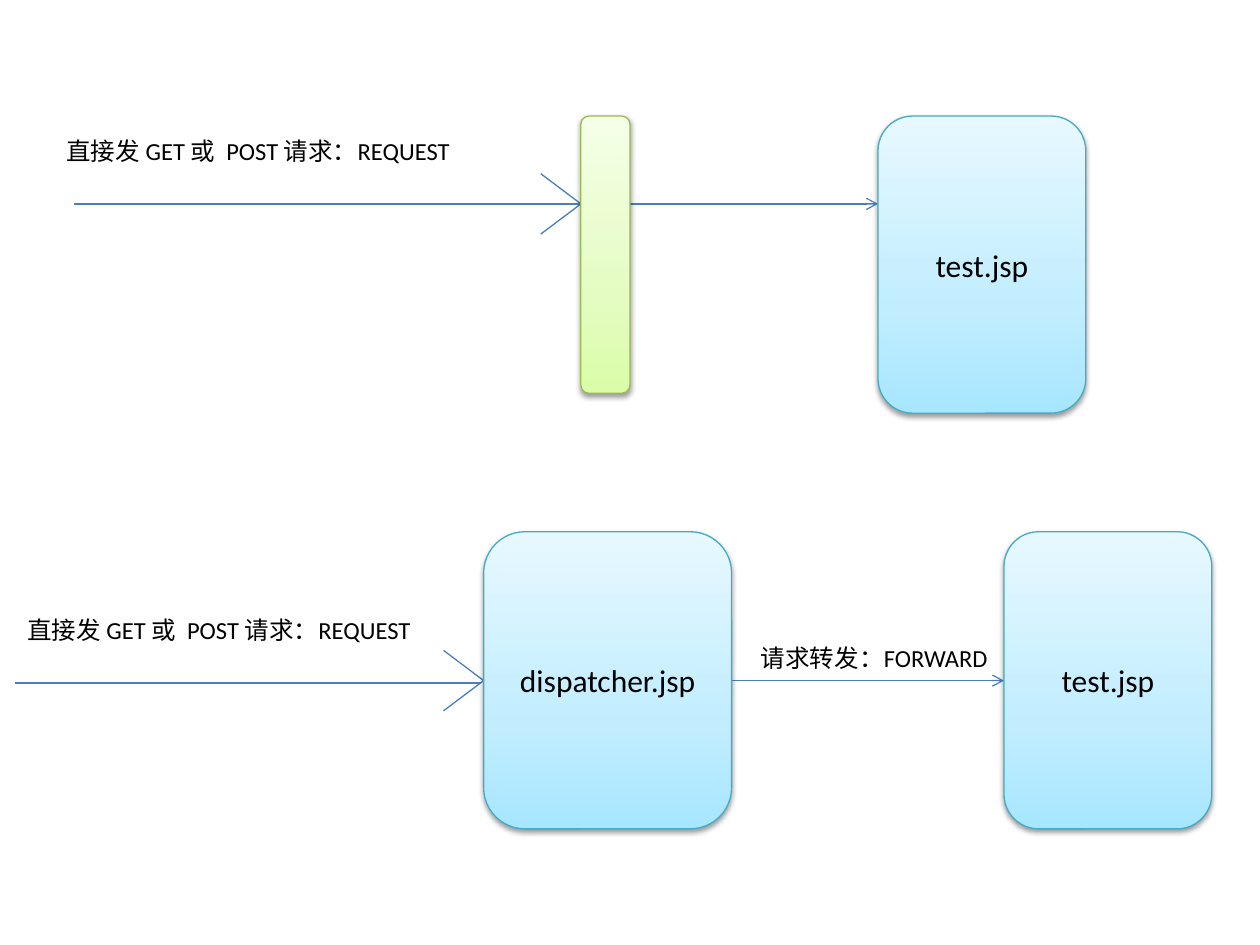
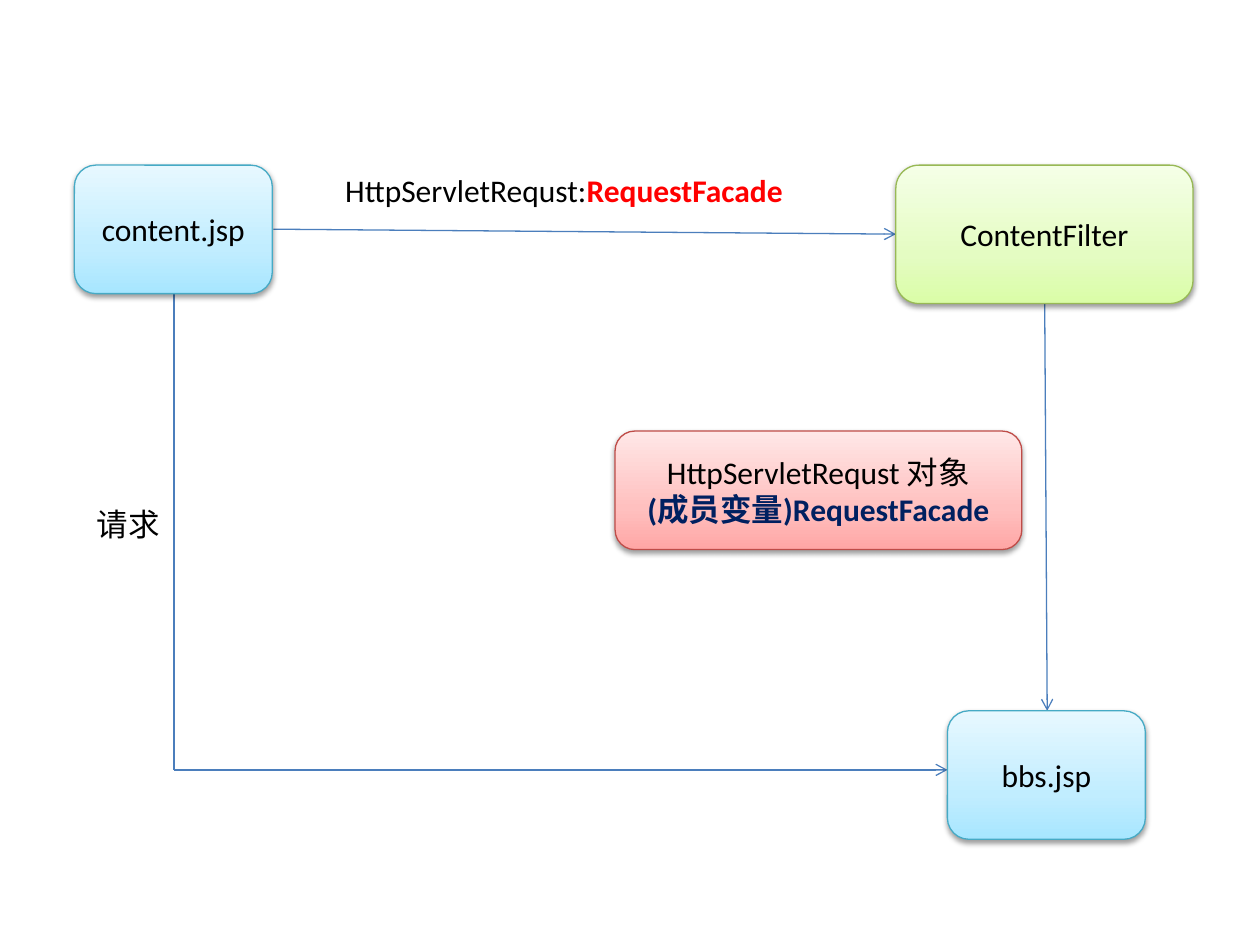
from copy import deepcopy

from lxml.etree import SubElement
from pptx import Presentation
from pptx.dml.color import RGBColor
from pptx.enum.shapes import MSO_CONNECTOR as CONNECTOR, MSO_SHAPE as SHAPE
from pptx.enum.text import MSO_ANCHOR as ANCHOR, MSO_AUTO_SIZE as AUTO_SIZE, PP_ALIGN as ALIGN
from pptx.oxml.ns import qn
from pptx.util import Cm, Pt

FONT = "Calibri"
BLACK = RGBColor(0x00, 0x00, 0x00)
RED = RGBColor(0xFF, 0x00, 0x00)
NAVY = RGBColor(0x00, 0x20, 0x60)
LINE_BLUE = RGBColor(0x4B, 0x7E, 0xBC)
BLUE_EDGE = RGBColor(0x46, 0xAA, 0xC5)
BLUE_FADE = [RGBColor(0xA7, 0xE6, 0xFF), RGBColor(0xC1, 0xED, 0xFF), RGBColor(0xE7, 0xF8, 0xFF)]
GREEN_EDGE = RGBColor(0x98, 0xB9, 0x55)
GREEN_FADE = [RGBColor(0xDA, 0xFD, 0xA7), RGBColor(0xE4, 0xFC, 0xC2), RGBColor(0xF5, 0xFF, 0xE7)]
PINK_EDGE = RGBColor(0xBF, 0x4C, 0x48)
PINK_FADE = [RGBColor(0xFF, 0xA6, 0xA5), RGBColor(0xFF, 0xC0, 0xBF), RGBColor(0xFF, 0xE7, 0xE7)]

PAGE = (BLUE_EDGE, BLUE_FADE)
FILTER = (GREEN_EDGE, GREEN_FADE)
OBJECT = (PINK_EDGE, PINK_FADE)
FADE_POSITIONS = (0, 0.35, 1)
ACCENTS = {"RequestFacade": RED, "(成员变量)RequestFacade": NAVY}
REQUEST_TEXT = "直接发 GET 或  POST 请求：REQUEST"


def write_text(text_frame, text, size):
    text_frame.text = text.replace("|", "")
    for paragraph, line in zip(text_frame.paragraphs, text.split("\n")):
        pieces = line.split("|")
        paragraph.text = pieces[0]
        for piece in pieces[1:]:
            paragraph.add_run().text = piece
        for run in paragraph.runs:
            run.font.name = FONT
            run.font.size = Pt(size)
            run.font.color.rgb = ACCENTS.get(run.text, BLACK)
            run.font.bold = run.text in ACCENTS


dispatch_slide = {
    "lines": [
        (1.5, 4.11, 17.7, 4.11, True),
        (0.3, 13.77, 9.7, 13.77, False),
        (14.76, 13.72, 20.24, 13.72, True),
    ],
    "boxes": [
        ("test.jsp", PAGE, 17.7, 2.34, 4.19, 5.99),
        ("", FILTER, 11.71, 2.34, 0.99, 5.59),
        ("dispatcher.jsp", PAGE, 9.75, 10.72, 5, 5.99),
        ("test.jsp", PAGE, 20.24, 10.72, 4.19, 5.99),
    ],
    "labels": [
        (REQUEST_TEXT, 14, 1.09, 2.61, 8.51, 1.5),
        (REQUEST_TEXT, 14, 0.3, 12.27, 8.51, 1.5),
        ("请求转发：FORWARD", 14, 15.09, 12.83, 5.79, 0.86),
    ],
}
for tip_x, tip_y in [(11.71, 4.11), (9.75, 13.72)]:
    for offset in (-0.61, 0.61):
        dispatch_slide["lines"].append((tip_x - 0.81, tip_y + offset, tip_x, tip_y, False))

content_slide = {
    "lines": [
        (3.51, 5.92, 3.51, 15.52, False),
        (3.51, 15.52, 19.1, 15.52, True),
        (5.51, 4.62, 18.06, 4.72, True),
        (21.06, 6.12, 21.11, 14.33, True),
    ],
    "boxes": [
        ("content.jsp", PAGE, 1.5, 3.33, 3.99, 2.59),
        ("bbs.jsp", PAGE, 19.1, 14.33, 3.99, 2.59),
        ("ContentFilter", FILTER, 18.06, 3.33, 5.99, 2.79),
        ("HttpServletRequst 对象\n(成员变量)RequestFacade", OBJECT, 12.4, 8.69, 8.2, 2.39),
    ],
    "labels": [
        ("请求", 18, 1.7, 10.06, 2.39, 1.02),
        ("HttpServletRequst:|RequestFacade", 18, 6.71, 3.33, 9.8, 1.02),
    ],
}

presentation = Presentation()
presentation.slide_width = Cm(25.4)
presentation.slide_height = Cm(19.05)

for content in (dispatch_slide, content_slide):
    slide = presentation.slides.add_slide(presentation.slide_layouts[6])

    for start_x, start_y, end_x, end_y, has_arrow in content["lines"]:
        connector = slide.shapes.add_connector(
            CONNECTOR.STRAIGHT, Cm(start_x), Cm(start_y), Cm(end_x), Cm(end_y))
        connector.line.color.rgb = LINE_BLUE
        connector.line.width = Pt(0.75)
        if has_arrow:
            line_properties = connector._element.spPr.find(qn("a:ln"))
            SubElement(line_properties, qn("a:tailEnd"), type="arrow")
        SubElement(connector._element.spPr, qn("a:effectLst"))

    for text, (edge, fade), left, top, width, height in content["boxes"]:
        shape = slide.shapes.add_shape(
            SHAPE.ROUNDED_RECTANGLE, Cm(left), Cm(top), Cm(width), Cm(height))
        shape.fill.gradient()
        shape.fill.gradient_angle = 90
        stop_list = shape._element.spPr.find(".//" + qn("a:gsLst"))
        stop_list.insert(1, deepcopy(stop_list[0]))
        for stop, position, colour in zip(shape.fill.gradient_stops, FADE_POSITIONS, fade):
            stop.position = position
            stop.color.rgb = colour
        shape.line.color.rgb = edge
        shape.line.width = Pt(0.75)
        shape.shadow.inherit = False
        shadow = SubElement(
            shape._element.spPr.find(qn("a:effectLst")), qn("a:outerShdw"),
            blurRad="40000", dist="20000", dir="5400000", rotWithShape="0")
        shadow_colour = SubElement(shadow, qn("a:srgbClr"), val=str(BLACK))
        SubElement(shadow_colour, qn("a:alpha"), val="38000")
        if text:
            write_text(shape.text_frame, text, 18)
            shape.text_frame.vertical_anchor = ANCHOR.MIDDLE
            for paragraph in shape.text_frame.paragraphs:
                paragraph.alignment = ALIGN.CENTER

    for text, size, left, top, width, height in content["labels"]:
        label = slide.shapes.add_textbox(Cm(left), Cm(top), Cm(width), Cm(height))
        label.text_frame.word_wrap = True
        label.text_frame.auto_size = AUTO_SIZE.SHAPE_TO_FIT_TEXT
        write_text(label.text_frame, text, size)

presentation.save("out.pptx")
